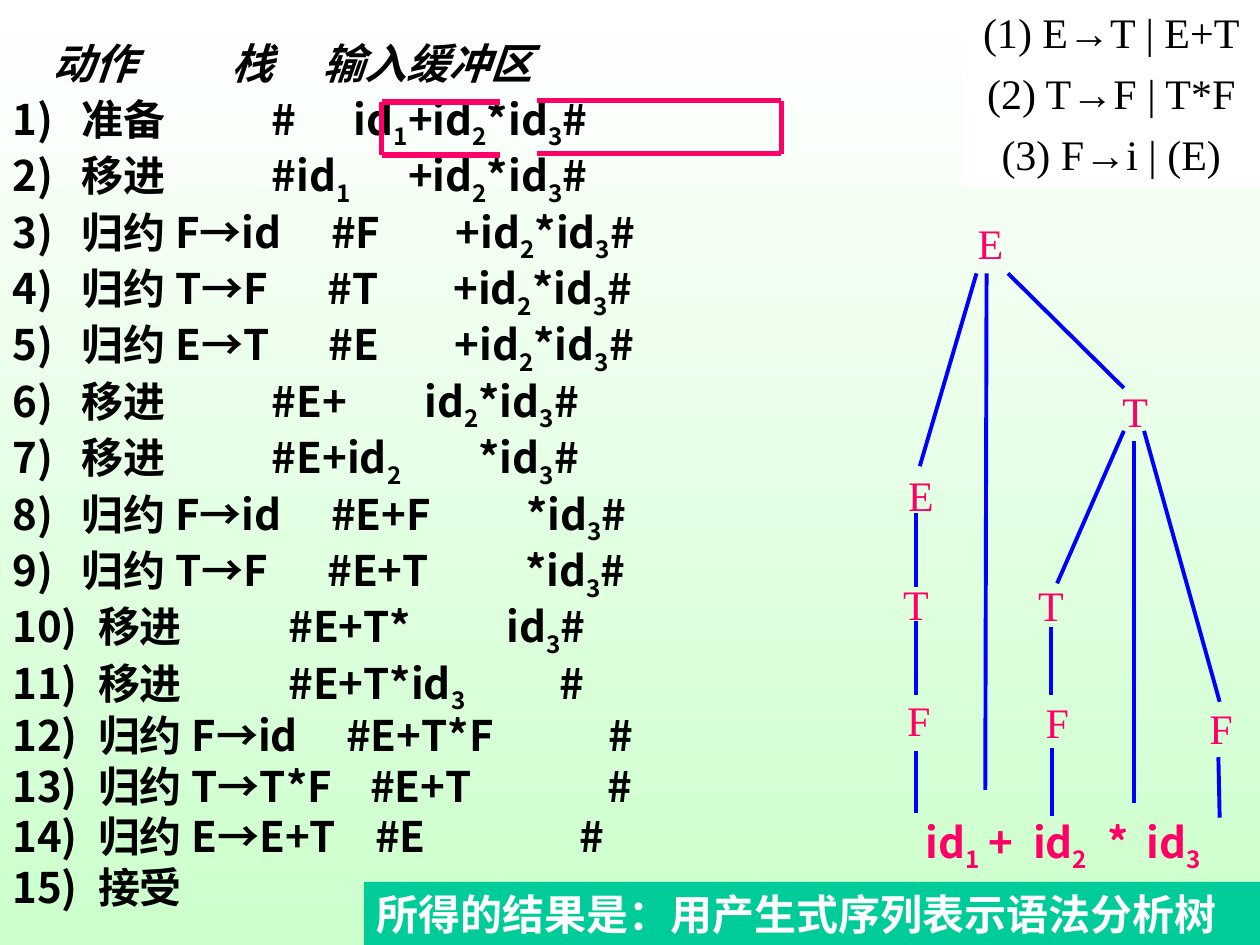
import lxml.etree
import pptx
import pptx.dml.color
import pptx.enum.shapes
import pptx.enum.text
import pptx.oxml.ns
import pptx.util
from pptx.util import Inches

COLORS = {"ink": "000000", "paper": "FFFFFF", "mint": "CCFFCC",
          "teal": "00CC99", "blue": "0000FF", "pink": "FF0066"}
SANS, SERIF, ARROW = "Noto Sans CJK SC", "Times New Roman", "Arial"
HEADINGS = ("动作", "栈", "输入缓冲区")
HEADING_STOPS = (0.32, 1.74, 2.46)
STEPS = [
    ("准备", "#", "id_1+id_2*id_3#", 2.06, 2.71),
    ("移进", "#id_1", "+id_2*id_3#", 2.06, 3.14),
    ("归约 F→id", "#F", "+id_2*id_3#", 2.53, 3.52),
    ("归约 T→F", "#T", "+id_2*id_3#", 2.5, 3.5),
    ("归约 E→T", "#E", "+id_2*id_3#", 2.51, 3.51),
    ("移进", "#E+", "id_2*id_3#", 2.06, 3.27),
    ("移进", "#E+id_2", "*id_3#", 2.06, 3.7),
    ("归约 F→id", "#E+F", "*id_3#", 2.53, 4.08),
    ("归约 T→F", "#E+T", "*id_3#", 2.5, 4.07),
    ("移进", "#E+T*", "id_3#", 2.19, 3.92),
    ("移进", "#E+T*id_3", "#", 2.19, 4.34),
    ("归约 F→id", "#E+T*F", "#", 2.65, 4.73),
    ("归约 T→T*F", "#E+T", "#", 2.84, 4.72),
    ("归约 E→E+T", "#E", "#", 2.88, 4.5),
    ("接受",),
]
RULES = ["(1) E→T | E+T", "(2) T→F | T*F", "(3) F→i | (E)"]
EDGES = [
    (0.27, 4.85, 0.27, 4.36), (0.3, 2.1, 0.75, 0.57), (0.82, 4.67, 0.83, 0.57),
    (2.68, 3.97, 2.08, 1.82), (2, 4.77, 2, 1.9), (1.39, 3.03, 1.92, 1.82),
    (1.35, 4.88, 1.35, 4.34), (2.68, 4.89, 2.67, 4.41), (1.92, 1.48, 1, 0.57),
    (0.27, 3.92, 0.27, 3.33), (0.27, 3.06, 0.27, 2.47), (1.34, 3.92, 1.34, 3.38),
]
NODES = [("F", 0.1, 3.86), ("T", 0.07, 2.94), ("E", 0.11, 2.08), ("F", 1.2, 3.88),
         ("T", 1.14, 2.95), ("F", 2.5, 3.93), ("T", 1.81, 1.41), ("E", 0.66, 0.08)]


def color(name):
    """Return the named colour."""
    return pptx.dml.color.RGBColor.from_string(COLORS[name])


def style(span, face, ink, bold=False):
    """Format one run at the common text size."""
    span.font.size = pptx.util.Pt(24)
    span.font.name = face
    span.font.bold = bold
    span.font.color.rgb = color(ink)
    if face == SANS:
        east = lxml.etree.SubElement(span.font._element, pptx.oxml.ns.qn("a:ea"))
        east.set("typeface", face)


def add_stops(para, stops):
    """Set left tab stops on a paragraph."""
    properties = para._p.get_or_add_pPr()
    tabs = lxml.etree.SubElement(properties, pptx.oxml.ns.qn("a:tabLst"))
    for stop in stops:
        tab = lxml.etree.SubElement(tabs, pptx.oxml.ns.qn("a:tab"))
        tab.set("pos", str(Inches(stop)))
        tab.set("algn", "l")


def write_terms(para, text, ink):
    """Write bold text in which an underscore lowers the next character."""
    first, *rest = text.split("_")
    pieces = [(first, False)]
    for part in rest:
        pieces += [(part[0], True), (part[1:], False)]
    for piece, lowered in pieces:
        if piece:
            span = para.add_run()
            span.text = piece
            style(span, SANS, ink, True)
            if lowered:
                span.font._element.set("baseline", "-25000")


def add_line(page, ends, ink, width, origin=(0, 0)):
    """Draw a straight line between two points measured from the origin."""
    left, top = origin
    x1, y1, x2, y2 = ends
    line = page.shapes.add_connector(
        pptx.enum.shapes.MSO_CONNECTOR.STRAIGHT, Inches(left + x1), Inches(top + y1),
        Inches(left + x2), Inches(top + y2))
    line.line.color.rgb = color(ink)
    line.line.width = pptx.util.Pt(width)
    lxml.etree.SubElement(line._element.spPr, pptx.oxml.ns.qn("a:effectLst"))


def add_panel(page, box, fill):
    """Add a plain filled rectangle and return its text frame."""
    panel = page.shapes.add_shape(pptx.enum.shapes.MSO_SHAPE.RECTANGLE,
                                  *map(Inches, box))
    panel.shadow.inherit = False
    panel.fill.solid()
    panel.fill.fore_color.rgb = color(fill)
    panel.line.fill.background()
    panel.text_frame.word_wrap = True
    return panel.text_frame


def add_text(page, box):
    """Add an empty wrapping text box and return its text frame."""
    frame = page.shapes.add_textbox(*map(Inches, box)).text_frame
    frame.word_wrap = True
    return frame


def add_trace(page, box):
    """List the numbered parser steps under their headings."""
    frame = add_text(page, box)
    heading = frame.paragraphs[0]
    add_stops(heading, HEADING_STOPS)
    write_terms(heading, "\t" + "\t".join(HEADINGS), "ink")
    heading.runs[0].font.italic = True
    heading.line_spacing = 0.8
    for number, step in enumerate(STEPS, 1):
        para = frame.add_paragraph()
        add_stops(para, (0.55 if number < 10 else 0.68, *step[3:]))
        write_terms(para, "\t".join((f"{number})", *step[:3])), "ink")
        para.line_spacing = 0.8
        para.space_before = pptx.util.Pt(6)


def add_tree(page, box):
    """Draw the syntax tree with its edges, nodes and leaf row."""
    left, top, width, height = box
    for edge in EDGES:
        add_line(page, edge, "blue", 2.25, (left, top))
    for symbol, x, y in NODES:
        para = add_text(page, (left + x, top + y, 0.35, 0.5)).paragraphs[0]
        para.text = symbol
        style(para.runs[0], SERIF, "pink")
    row = (left + 0.25, top + height - 0.56, width - 0.25, 0.56)
    leaves = add_text(page, row).paragraphs[0]
    add_stops(leaves, (0.5, 0.85, 1.44, 1.75))
    write_terms(leaves, "id_1\t+\tid_2\t*\tid_3", "pink")


def add_grammar(page, box):
    """List the grammar rules in a white panel."""
    frame = add_panel(page, box, "paper")
    frame.text = "\n".join(RULES)
    for index, (para, rule) in enumerate(zip(frame.paragraphs, RULES)):
        head, tail = rule.split("→")
        para.text = head
        para.add_run().text = "→"
        para.add_run().text = tail
        para.alignment = pptx.enum.text.PP_ALIGN.CENTER
        para.space_before = pptx.util.Pt(6 if index else 0)
        for span, face in zip(para.runs, (SERIF, ARROW, SERIF)):
            style(span, face, "ink")


def add_banner(page, box):
    """State the result in a coloured strip."""
    frame = add_panel(page, box, "teal")
    frame.text = "所得的结果是：用产生式序列表示语法分析树"
    frame.paragraphs[0].alignment = pptx.enum.text.PP_ALIGN.LEFT
    style(frame.paragraphs[0].runs[0], SERIF, "paper", True)


def add_bracket(page, box, side):
    """Draw a three-sided bracket closed at the given side."""
    left, top, width, height = box
    upright = 0 if side == "left" else width
    for ends in ((0, 0, width, 0), (upright, 0, upright, height),
                 (0, height, width, height)):
        add_line(page, ends, "pink", 3, (left, top))


def main():
    """Build and save the slide."""
    deck = pptx.Presentation()
    deck.slide_width, deck.slide_height = Inches(10), Inches(7.5)
    page = deck.slides.add_slide(deck.slide_layouts[6])
    fill = page.background.fill
    fill.gradient()
    fill.gradient_angle = 270
    for stop, name, position in zip(fill.gradient_stops, ("paper", "mint"), (0, 1)):
        stop.color.rgb = color(name)
        stop.position = position
    add_trace(page, (0, 0.33, 6.83, 7.17))
    add_tree(page, (7, 1.6, 2.7, 5.39))
    add_banner(page, (2.89, 7, 7.11, 0.5))
    add_grammar(page, (7.64, 0, 2.36, 1.47))
    add_bracket(page, (3.03, 0.81, 0.94, 0.42), "left")
    add_bracket(page, (4.26, 0.8, 1.94, 0.42), "right")
    deck.save("out.pptx")


if __name__ == "__main__":
    main()
